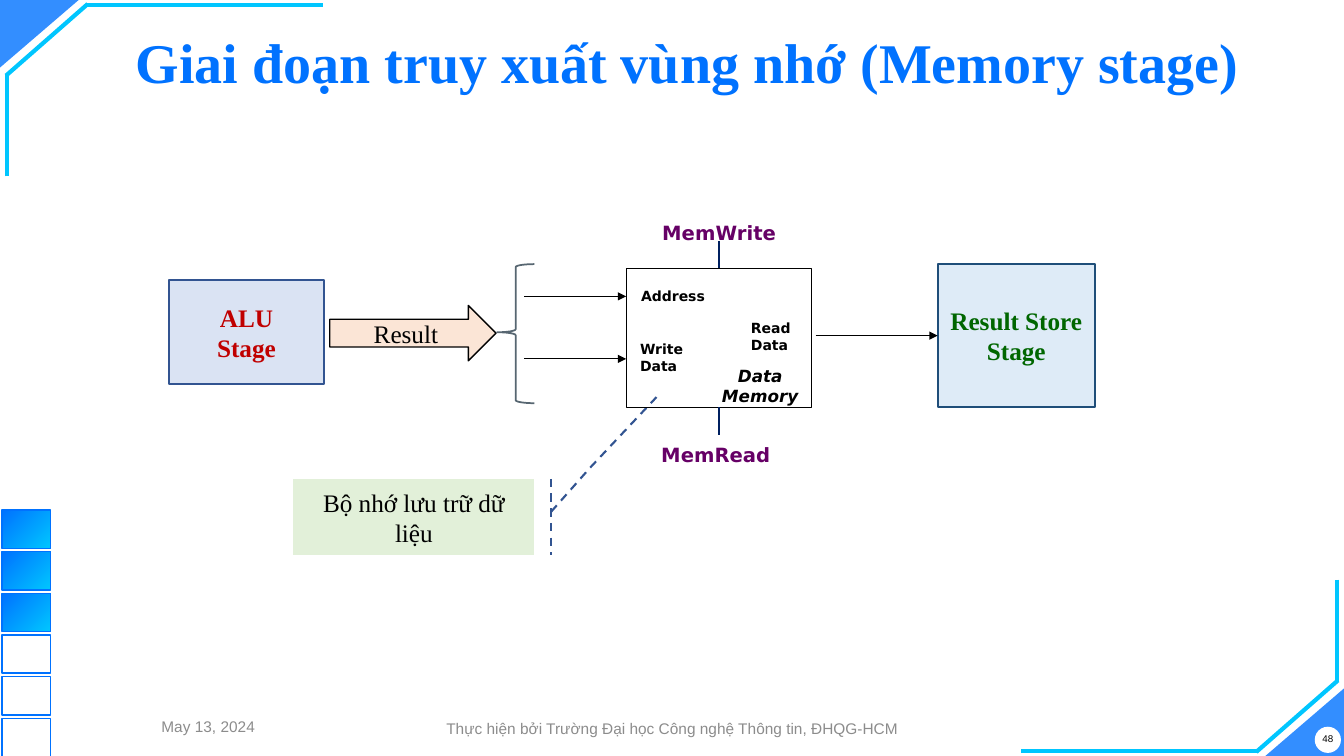
from lxml import etree
from pptx import Presentation
from pptx.dml.color import RGBColor
from pptx.enum.dml import MSO_LINE
from pptx.enum.shapes import MSO_CONNECTOR, MSO_SHAPE as Kind
from pptx.enum.text import MSO_ANCHOR as Anchor, PP_ALIGN as Align
from pptx.oxml.ns import qn
from pptx.util import Inches, Pt

BLUE = RGBColor(0x00, 0x72, 0xFF)
CYAN = RGBColor(0x00, 0xC6, 0xFF)
WHITE = RGBColor(0xFF, 0xFF, 0xFF)
BLACK = RGBColor(0x00, 0x00, 0x00)
GRAY = RGBColor(0x8C, 0x8C, 0x8C)
SLATE = RGBColor(0x57, 0x66, 0x71)
NAVY = RGBColor(0x00, 0x20, 0x60)
INDIGO = RGBColor(0x32, 0x54, 0x91)
DEEP_BLUE = RGBColor(0x1F, 0x4E, 0x79)
LAVENDER = RGBColor(0xDA, 0xE3, 0xF3)
PALE_BLUE = RGBColor(0xDE, 0xEB, 0xF7)
PEACH = RGBColor(0xFB, 0xE5, 0xD6)
PALE_GREEN = RGBColor(0xE2, 0xF0, 0xD9)
RED = RGBColor(0xC0, 0x00, 0x00)
GREEN = RGBColor(0x00, 0x66, 0x00)
PURPLE = RGBColor(0x66, 0x00, 0x66)
SERIF, SANS, LABEL = "Times New Roman", "Arial", "DejaVu Sans"

deck = Presentation()
deck.slide_width, deck.slide_height = Inches(13.33), Inches(7.5)
page = deck.slides.add_slide(deck.slide_layouts[6])
COLUMN, ROW = deck.slide_width / 133.3, deck.slide_height / 75


def add_box(kind, left, top, width, height, fill=None, line=None, weight=1,
            text="", font=SERIF, size=18, color=BLACK, bold=False,
            align=Align.CENTER, anchor=Anchor.MIDDLE, wrap=True):
    """Place a shape, or a text box when kind is None, on the column and row grid."""
    place = [round(left * COLUMN), round(top * ROW),
             round(width * COLUMN), round(height * ROW)]
    if kind is None:
        box = page.shapes.add_textbox(*place)
    else:
        box = page.shapes.add_shape(kind, *place)
        box.shadow.inherit = False
        if fill is None:
            box.fill.background()
        else:
            box.fill.solid()
            box.fill.fore_color.rgb = fill
        if line is None:
            box.line.fill.background()
        else:
            box.line.color.rgb = line
            box.line.width = Pt(weight)
    if text:
        frame = box.text_frame
        frame.word_wrap = wrap
        frame.vertical_anchor = anchor
        frame.text = text
        for para in frame.paragraphs:
            para.alignment = align
            para.font.name, para.font.size = font, Pt(size)
            para.font.bold, para.font.color.rgb = bold, color
    return box


def add_line(x1, y1, x2, y2, color, weight, arrow=False):
    link = page.shapes.add_connector(
        MSO_CONNECTOR.STRAIGHT, round(x1 * COLUMN), round(y1 * ROW),
        round(x2 * COLUMN), round(y2 * ROW))
    link.line.color.rgb = color
    link.line.width = Pt(weight)
    if arrow:
        etree.SubElement(link.line._get_or_add_ln(), qn("a:tailEnd"), type="triangle")
    etree.SubElement(link._element.spPr, qn("a:effectLst"))
    return link


# Corner ornaments
for left, top, turn in [(0, 0, 180), (125.5, 68.3, 0)]:
    corner = add_box(Kind.ISOSCELES_TRIANGLE, left, top, 7.8, 6.7, BLUE)
    corner.adjustments[0] = 1
    corner.rotation = turn
    tint = corner._element.spPr.find(qn("a:solidFill"))[0]
    etree.SubElement(tint, qn("a:alpha"), val="80000")
for ends in [(32, 0.5, 8.5, 0.5), (8.7, 0.4, 0.6, 7.5), (0.7, 17.5, 0.7, 7.3),
             (101.3, 74.5, 124.8, 74.5), (124.6, 74.6, 132.7, 67.5),
             (132.6, 57.5, 132.6, 67.7)]:
    add_line(*ends, CYAN, 3)

# Progress squares
for step in range(6):
    square = add_box(Kind.RECTANGLE, 0.2, 50.6 + 4.13 * step, 4.8, 3.8, line=BLUE)
    if step < 3:
        square.fill.gradient()
        square.fill.gradient_angle = 315
        for stop, shade in zip(square.fill.gradient_stops, (BLUE, CYAN)):
            stop.color.rgb = shade

# Title and footer
title = add_box(None, 12.5, 1.6, 115, 9.8, size=40, color=BLUE, bold=True, align=Align.LEFT,
                text="Giai đoạn truy xuất vùng nhớ (Memory stage)")
title.text_frame.paragraphs[0].line_spacing = 0.9
add_box(None, 39.9, 70.8, 53.6, 2.9, font=SANS, size=11, color=GRAY,
        text="Thực hiện bởi Trường Đại học Công nghệ Thông tin, ĐHQG-HCM")
add_box(None, 9.2, 70.6, 22.9, 2.9, font=SANS, size=11, color=GRAY, text="May 13, 2024")
add_box(Kind.OVAL, 130.4, 72.1, 2.6, 2.6, WHITE)
add_box(None, 130.1, 71.7, 3.2, 3.2, font=SANS, size=7, text="48")

# Stages
alu = add_box(Kind.RECTANGLE, 16.8, 27.8, 15.3, 10.3, LAVENDER, INDIGO, 1.5,
              text="ALU Stage", color=RED, bold=True)
alu.text_frame.margin_left = alu.text_frame.margin_right = round(3 * COLUMN)
add_box(Kind.RIGHT_ARROW, 32.7, 30.3, 16.5, 5.5, PEACH, BLACK, text="Result")
store = add_box(Kind.RECTANGLE, 93, 26.2, 15.6, 14.2, PALE_BLUE, DEEP_BLUE, 1.5,
                text="Result Store Stage", color=GREEN, bold=True)
brace = add_box(Kind.LEFT_BRACE, 49.3, 26.2, 3.7, 13.8, line=SLATE, weight=1.25)
brace.adjustments[0], brace.adjustments[1] = 0.08, 0.49
callout = add_box(Kind.LINE_CALLOUT_2_ACCENT_BAR, 29.1, 47.5, 23.9, 7.6, PALE_GREEN,
                  INDIGO, 1.5, text="Bộ nhớ lưu trữ dữ liệu")
callout.line.dash_style = MSO_LINE.DASH
for index, share in enumerate((0.43, 1.07, -0.14, 1.23, -1.11, 1.52)):
    callout.adjustments[index] = share
memory = add_box(Kind.RECTANGLE, 62.1, 26.6, 18.4, 13.8, line=BLACK, weight=0.75)

# Signals
for row in (29.4, 35.6):
    add_line(52, row, 62.1, row, BLACK, 0.75, arrow=True)
add_line(80.9, 33.3, 93, 33.3, BLACK, 1, arrow=True).end_connect(store, 1)
add_line(71.3, 23.9, 71.3, 26.6, NAVY, 1).end_connect(memory, 0)
add_line(71.3, 40.4, 71.3, 43.2, NAVY, 1).begin_connect(memory, 2)

# Memory labels
for text, left, top, width, height, size, color, align in [
        ("Data\nMemory", 70.6, 35.8, 9.6, 5, 12, BLACK, Align.CENTER),
        ("Address", 62.6, 28, 8.3, 2.6, 10, BLACK, Align.CENTER),
        ("Read\nData", 73.5, 31.2, 6.4, 4.3, 10, BLACK, Align.LEFT),
        ("Write\nData", 62.5, 33.3, 6.7, 4.3, 10, BLACK, Align.LEFT),
        ("MemRead", 64.6, 43.4, 12.8, 3.3, 14, PURPLE, Align.LEFT),
        ("MemWrite", 64.7, 21.4, 13.3, 3.3, 14, PURPLE, Align.LEFT)]:
    label = add_box(None, left, top, width, height, text=text, font=LABEL, size=size,
                    color=color, bold=True, align=align, anchor=Anchor.TOP, wrap=False)
    if size == 12:
        for para in label.text_frame.paragraphs:
            para.font.italic = True

deck.save("out.pptx")
